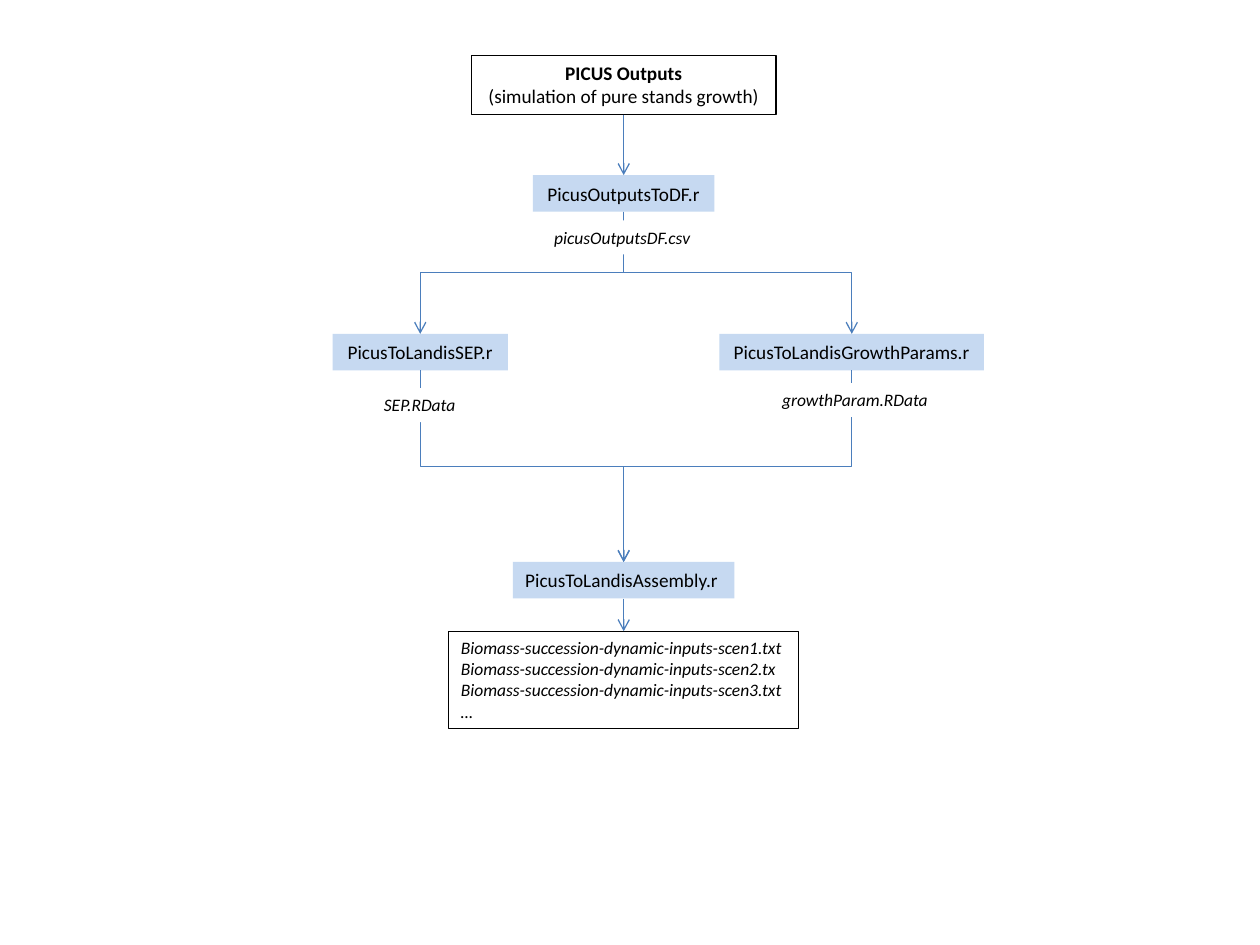
from dataclasses import dataclass
from typing import Optional

from lxml import etree
from pptx import Presentation
from pptx import util as u
from pptx.dml.color import RGBColor
from pptx.enum import shapes, text
from pptx.oxml.ns import qn


@dataclass(frozen=True)
class Theme:
    font: str = "Calibri"
    script_size: float = 11
    file_size: float = 10
    ink: str = "000000"
    script_fill: str = "C6D9F1"
    paper: str = "FFFFFF"
    arrow: str = "4B7EBC"
    line_width: float = 0.75


THEME = Theme()
BOTTOM, TOP = 2, 0


@dataclass(frozen=True)
class Line:
    words: str
    bold: bool = False
    italic: bool = False


@dataclass(frozen=True)
class Box:
    left: float
    top: float
    width: float
    height: float
    lines: tuple[Line, ...]
    size: float
    fill: Optional[str] = THEME.paper
    outlined: bool = False
    centred: bool = True
    anchor: text.MSO_ANCHOR = text.MSO_ANCHOR.TOP


def script_box(left: float, top: float, width: float, name: str, centred: bool = True) -> Box:
    return Box(left, top, width, 0.29, (Line(name),), THEME.script_size,
               fill=THEME.script_fill, centred=centred, anchor=text.MSO_ANCHOR.MIDDLE)


def file_label(left: float, top: float, width: float, name: str, centred: bool = True) -> Box:
    return Box(left, top, width, 0.27, (Line(name, italic=True),), THEME.file_size,
               centred=centred)


def draw_box(slide, box: Box):
    shape = slide.shapes.add_shape(
        shapes.MSO_SHAPE.RECTANGLE, u.Inches(box.left), u.Inches(box.top),
        u.Inches(box.width), u.Inches(box.height))
    shape.shadow.inherit = False
    if box.fill:
        shape.fill.solid()
        shape.fill.fore_color.rgb = RGBColor.from_string(box.fill)
    else:
        shape.fill.background()
    if box.outlined:
        shape.line.color.rgb = RGBColor.from_string(THEME.ink)
        shape.line.width = u.Pt(THEME.line_width)
    else:
        shape.line.fill.background()

    frame = shape.text_frame
    frame.word_wrap = False
    frame.auto_size = text.MSO_AUTO_SIZE.SHAPE_TO_FIT_TEXT
    frame.vertical_anchor = box.anchor
    for index, line in enumerate(box.lines):
        paragraph = frame.add_paragraph() if index else frame.paragraphs[0]
        paragraph.alignment = text.PP_ALIGN.CENTER if box.centred else text.PP_ALIGN.LEFT
        run = paragraph.add_run()
        run.text = line.words
        font = run.font
        font.name, font.size = THEME.font, u.Pt(box.size)
        font.bold, font.italic = line.bold, line.italic
        font.color.rgb = RGBColor.from_string(THEME.ink)
    return shape


def turn_downward(connector, start_x: int, start_y: int, end_x: int, end_y: int) -> None:
    """Rotate an elbow so that it leaves and arrives vertically."""
    across, down = abs(end_x - start_x), end_y - start_y
    frame = connector.element.spPr.find(qn("a:xfrm"))
    for name in ("flipH", "flipV"):
        frame.attrib.pop(name, None)
    connector.left = (start_x + end_x - down) // 2
    connector.top = (start_y + end_y - across) // 2
    connector.width, connector.height = down, across
    goes_left = end_x < start_x
    frame.set("rot", str((90 if goes_left else 270) * 60000))
    if not goes_left:
        frame.set("flipH", "1")


def draw_arrow(slide, source, target) -> None:
    start_x, start_y = source.left + source.width // 2, source.top + source.height
    end_x, end_y = target.left + target.width // 2, target.top
    bent = abs(end_x - start_x) > u.Inches(0.1)
    kind = shapes.MSO_CONNECTOR.ELBOW if bent else shapes.MSO_CONNECTOR.STRAIGHT
    connector = slide.shapes.add_connector(kind, start_x, start_y, end_x, end_y)
    connector.begin_connect(source, BOTTOM)
    connector.end_connect(target, TOP)
    if bent:
        turn_downward(connector, start_x, start_y, end_x, end_y)
    connector.line.color.rgb = RGBColor.from_string(THEME.arrow)
    connector.line.width = u.Pt(THEME.line_width)
    outline = connector.line._get_or_add_ln()
    etree.SubElement(outline, qn("a:tailEnd"), type="arrow")
    etree.SubElement(connector.element.spPr, qn("a:effectLst"))


# Steps of the workflow
STEPS = {
    "outputs": Box(3.74, 0.44, 2.42, 0.47,
                   (Line("PICUS Outputs", bold=True),
                    Line("(simulation of pure stands growth)")),
                   THEME.script_size, outlined=True),
    "to_df": script_box(4.23, 1.39, 1.44, "PicusOutputsToDF.r"),
    "growth": script_box(5.71, 2.65, 2.1, "PicusToLandisGrowthParams.r"),
    "sep": script_box(2.64, 2.65, 1.39, "PicusToLandisSEP.r"),
    "assembly": script_box(4.07, 4.46, 1.76, "PicusToLandisAssembly.r", centred=False),
    "inputs": Box(3.56, 5.01, 2.78, 0.77,
                  tuple(Line(words, italic=True) for words in (
                      "Biomass-succession-dynamic-inputs-scen1.txt",
                      "Biomass-succession-dynamic-inputs-scen2.tx",
                      "Biomass-succession-dynamic-inputs-scen3.txt",
                      "…")),
                  THEME.file_size, fill=None, outlined=True, centred=False),
}

FLOWS = (
    ("outputs", "to_df"),
    ("to_df", "sep"),
    ("to_df", "growth"),
    ("growth", "assembly"),
    ("sep", "assembly"),
    ("assembly", "inputs"),
)

# Files passed between the steps, laid over the arrows
FILES = (
    file_label(4.3, 1.75, 1.31, "picusOutputsDF.csv", centred=False),
    file_label(6.1, 3.04, 1.37, "growthParam.RData"),
    file_label(2.92, 3.08, 0.82, "SEP.RData"),
)


def main() -> None:
    presentation = Presentation()
    presentation.slide_width, presentation.slide_height = u.Inches(10), u.Inches(7.5)
    slide = presentation.slides.add_slide(presentation.slide_layouts[6])

    steps = {name: draw_box(slide, box) for name, box in STEPS.items()}
    for source, target in FLOWS:
        draw_arrow(slide, steps[source], steps[target])
    for label in FILES:
        draw_box(slide, label)

    presentation.save("out.pptx")


if __name__ == "__main__":
    main()
